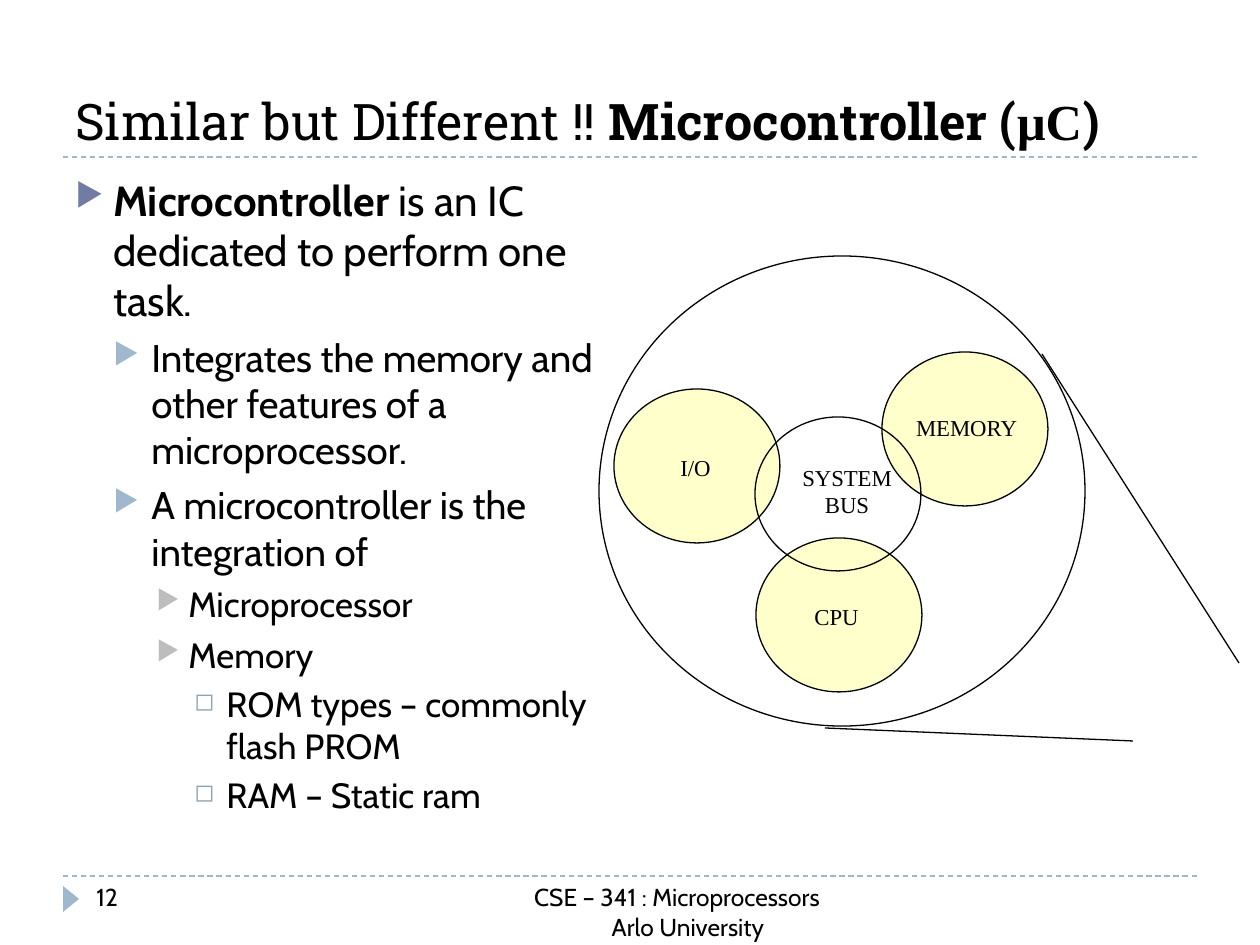
from lxml.etree import SubElement
from pptx import Presentation
from pptx.dml.color import RGBColor
from pptx.enum.dml import MSO_LINE
from pptx.enum.shapes import MSO_CONNECTOR, MSO_SHAPE
from pptx.enum.text import MSO_ANCHOR, PP_ALIGN
from pptx.oxml.ns import qn
from pptx.util import Emu, Pt

PX = 914400 / 126
COLORS = {"text": "000000", "rule": "9FB8CD", "unit": "FFFFCC",
          "bullet0": "727CA3", "bullet1": "9FB8CD",
          "bullet2": "BDBDBD", "bullet3": "8CA2B5"}
BODY, HEADING, DIAGRAM = "Cabin", "Roboto Slab", "Times New Roman"

# per level: text indent px, hanging px, space before pt, size pt, bullet, bullet size %
LEVELS = [(38, 38, 6, 24, "▶", 76), (76, 38, 5, 22, "▶", 76),
          (113, 32, 5, 20, "▶", 76), (151, 32, 4, 20, "◻", 70)]
POINTS = [
    (0, [("Microcontroller", True), (" is an IC dedicated to perform one task.", False)]),
    (1, [("Integrates the memory and other features of a microprocessor.", False)]),
    (1, [("A microcontroller is the integration of", False)]),
    (2, [("Microprocessor", False)]),
    (2, [("Memory", False)]),
    (3, [("ROM types – commonly flash PROM", False)]),
    (3, [("RAM – Static ram", False)]),
]
# name, circle left and top, label box
UNITS = [("CPU", (756, 538), (781, 596, 111, 40)),
         ("MEMORY", (882, 352), (903, 407, 127, 40)),
         ("I/O", (614, 389), (640, 447, 111, 40))]
UNIT_SIZE = (166, 154)


def px(*lengths):
    return [Emu(round(length * PX)) for length in lengths]


def color(name):
    return RGBColor.from_string(COLORS[name])


def style(font, name, size):
    font.name, font.size = name, Pt(size)
    font.color.rgb = color("text")


def add_line(slide, ends, line_color="text", dash=None):
    line = slide.shapes.add_connector(MSO_CONNECTOR.STRAIGHT, *px(*ends))
    line.line.color.rgb = color(line_color)
    line.line.width = Pt(0.75)
    if dash:
        line.line.dash_style = dash
    SubElement(line._element.spPr, qn("a:effectLst"))


def add_filled(slide, kind, box, fill=None, outlined=False):
    shape = slide.shapes.add_shape(kind, *px(*box))
    shape.shadow.inherit = False
    if fill:
        shape.fill.solid()
        shape.fill.fore_color.rgb = color(fill)
    else:
        shape.fill.background()
    if outlined:
        shape.line.color.rgb = color("text")
        shape.line.width = Pt(0.75)
    else:
        shape.line.fill.background()
    return shape


def add_text(slide, box, anchor=MSO_ANCHOR.TOP):
    frame = slide.shapes.add_textbox(*px(*box)).text_frame
    frame.word_wrap = True
    frame.vertical_anchor = anchor
    return frame


def write_label(frame, text):
    frame.word_wrap = True
    frame.vertical_anchor = MSO_ANCHOR.MIDDLE
    label = frame.paragraphs[0]
    label.text = text
    label.alignment = PP_ALIGN.CENTER
    style(label.font, DIAGRAM, 13)


def set_bullet(paragraph, level):
    indent, hanging, _, _, mark, percent = LEVELS[level]
    props = paragraph._p.get_or_add_pPr()
    props.set("marL", str(px(indent)[0]))
    props.set("indent", str(px(-hanging)[0]))
    tint = SubElement(props, qn("a:buClr"))
    SubElement(tint, qn("a:srgbClr")).set("val", COLORS[f"bullet{level}"])
    SubElement(props, qn("a:buSzPct")).set("val", str(percent * 1000))
    SubElement(props, qn("a:buChar")).set("char", mark)


def add_title(slide):
    title = add_text(slide, (63, 21, 1134, 136), MSO_ANCHOR.BOTTOM).paragraphs[0]
    for text, bold, font in [("Similar but Different !! ", False, HEADING),
                             ("Microcontroller (", True, HEADING),
                             ("μC", True, DIAGRAM), (")", True, HEADING)]:
        run = title.add_run()
        run.text = text
        style(run.font, font, 28.8)
        run.font.bold = bold


def add_points(slide):
    frame = add_text(slide, (63, 168, 588, 680))
    for number, (level, parts) in enumerate(POINTS):
        point = frame.add_paragraph() if number else frame.paragraphs[0]
        point.level = level
        point.space_before = Pt(LEVELS[level][2])
        set_bullet(point, level)
        style(point.font, BODY, LEVELS[level][3])
        for text, bold in parts:
            run = point.add_run()
            run.text = text
            style(run.font, BODY, LEVELS[level][3])
            run.font.bold = bold


def add_diagram(slide):
    add_line(slide, (1042, 354, 1239, 663))
    add_line(slide, (825, 728, 1133, 741))
    for name, corner, label_box in UNITS:
        add_filled(slide, MSO_SHAPE.OVAL, corner + UNIT_SIZE, "unit", outlined=True)
        label = add_filled(slide, MSO_SHAPE.RECTANGLE, label_box, "unit")
        write_label(label.text_frame, name)
    add_filled(slide, MSO_SHAPE.OVAL, (755, 417) + UNIT_SIZE, outlined=True)
    write_label(add_text(slide, (781, 457, 132, 68)), "SYSTEM BUS")
    add_filled(slide, MSO_SHAPE.OVAL, (599, 256, 486, 470), outlined=True)


def add_footer(slide):
    marker = add_filled(slide, MSO_SHAPE.ISOSCELES_TRIANGLE, (58, 891, 26, 16), "rule")
    marker.rotation = 90
    page = add_text(slide, (84, 876, 273, 50)).paragraphs[0]
    page.text = "12"
    style(page.font, BODY, 14)
    frame = add_text(slide, (252, 876, 850, 50))
    frame.text = "CSE – 341 : Microprocessors\nArlo University"
    for line in frame.paragraphs:
        line.alignment = PP_ALIGN.CENTER
        style(line.font, BODY, 14)
    frame.paragraphs[1]._p.get_or_add_pPr().set("marL", str(px(22)[0]))


def main():
    deck = Presentation()
    deck.slide_width, deck.slide_height = px(1260, 945)
    slide = deck.slides.add_slide(deck.slide_layouts[6])
    for y in (876, 157):
        add_line(slide, (63, y, 1197, y), "rule", MSO_LINE.DASH)
    add_title(slide)
    add_points(slide)
    add_diagram(slide)
    add_footer(slide)
    deck.save("out.pptx")


if __name__ == "__main__":
    main()
